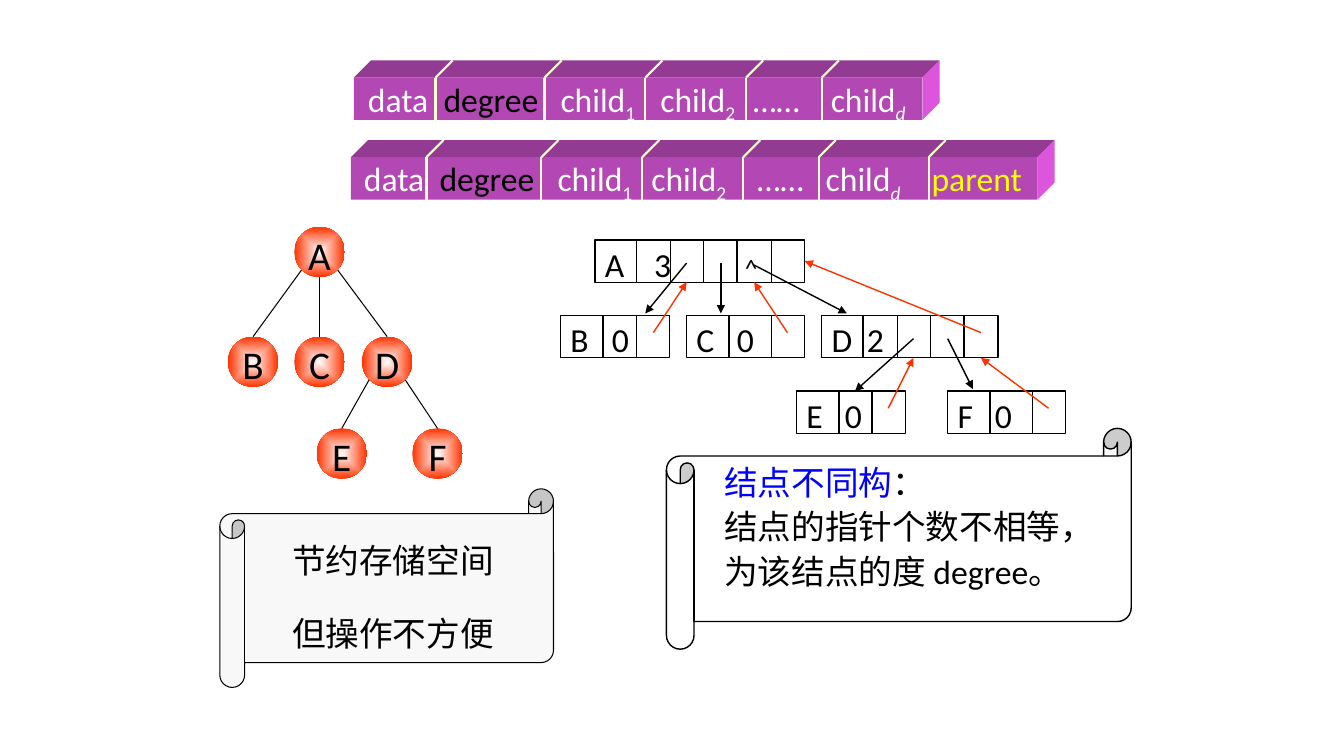
from lxml import etree
from pptx import Presentation
from pptx.dml.color import RGBColor
from pptx.enum.shapes import MSO_CONNECTOR as Link, MSO_SHAPE as Shape
from pptx.enum.text import MSO_ANCHOR as Anchor, PP_ALIGN as Align
from pptx.oxml import parse_xml
from pptx.oxml.ns import qn
from pptx.util import Inches, Pt

NS = 'xmlns:a="http://schemas.openxmlformats.org/drawingml/2006/main"'
BLACK, WHITE, RED, CREAM = "000000", "FFFFFF", "FF3300", "FFFFCC"


def color(code):
    return RGBColor.from_string(code)


def style(run, size=24, code=BLACK):
    run.font.size = Pt(size)
    run.font.name = "Calibri"
    run.font.color.rgb = color(code)


def frame(shape, anchor=Anchor.MIDDLE, left=0.1, top=0.05, wrap=True):
    text = shape.text_frame
    text.word_wrap = wrap
    text.vertical_anchor = anchor
    text.margin_left, text.margin_top = Inches(left), Inches(top)
    text.margin_right = text.margin_bottom = 0
    return text


def tabs(para, stops):
    props = para._p.get_or_add_pPr()
    group = etree.SubElement(props, qn("a:tabLst"))
    for stop in stops:
        etree.SubElement(group, qn("a:tab"), pos=str(Inches(stop)), algn="l")


def paint(shape, fill=None, edge=None, width=1):
    shape.shadow.inherit = False
    if fill:
        shape.fill.solid()
        shape.fill.fore_color.rgb = color(fill)
    else:
        shape.fill.background()
    if edge:
        shape.line.color.rgb = color(edge)
        shape.line.width = Pt(width)
    else:
        shape.line.fill.background()


def box(slide, kind, x, y, w, h):
    return slide.shapes.add_shape(kind, Inches(x), Inches(y), Inches(w), Inches(h))


def line(slide, start, end, code=BLACK, width=1, arrow=False):
    ends = [Inches(v) for v in (*start, *end)]
    link = slide.shapes.add_connector(Link.STRAIGHT, *ends)
    link.line.color.rgb = color(code)
    link.line.width = Pt(width)
    if arrow:
        etree.SubElement(link.line._get_or_add_ln(), qn("a:tailEnd"), type="triangle")
    etree.SubElement(link._element.spPr, qn("a:effectLst"))
    return link


def face(slide, points, code):
    spots = [(Inches(x), Inches(y)) for x, y in points]
    maker = slide.shapes.build_freeform(*spots[0], scale=1.0)
    maker.add_line_segments(spots[1:], close=True)
    paint(maker.convert_to_shape(), code)


def bar(slide, x, y, w, cuts, labels, h=0.42, deep=0.17):
    end, low, high = x + w, y + h, y - deep
    face(slide, [(x, y), (x + deep, high), (end + deep, high), (end, y)], "933A93")
    face(slide, [(end, y), (end + deep, high), (end + deep, low - deep), (end, low)], "DD55DD")
    paint(box(slide, Shape.RECTANGLE, x, y, w, h), "B347B3")
    for cut in cuts:
        line(slide, (cut, low), (cut, y), CREAM, 1.5)
        line(slide, (cut, y), (cut + deep, high), CREAM, 1.5)
    left = labels[0][0]
    area = slide.shapes.add_textbox(Inches(left), Inches(y - 0.07), Inches(w), Inches(0.52))
    para = frame(area, left=0).paragraphs[0]
    para.line_spacing = 1.1
    tabs(para, [spot - left for spot, *_ in labels[1:]])
    for i, (_, word, sub, code) in enumerate(labels):
        run = para.add_run()
        run.text = "\t" * (i > 0) + word
        style(run, code=code)
        if sub:
            run = para.add_run()
            run.text = sub
            style(run, code=code)
            run.font.italic = sub == "d"
            run.font._element.set("baseline", "-25000")


def node(slide, name, x, y, size):
    ball = box(slide, Shape.OVAL, x, y, size, size)
    paint(ball)
    props = ball._element.spPr
    old = props.find(qn("a:noFill"))
    props.replace(old, parse_xml(
        f'<a:gradFill {NS} rotWithShape="1"><a:gsLst>'
        f'<a:gs pos="0"><a:srgbClr val="{WHITE}"/></a:gs>'
        f'<a:gs pos="100000"><a:srgbClr val="{RED}"/></a:gs></a:gsLst>'
        '<a:path path="shape"><a:fillToRect l="50000" t="50000" r="50000" b="50000"/>'
        '</a:path></a:gradFill>'))
    text = frame(ball, left=0, wrap=False)
    text.text = name
    text.paragraphs[0].alignment = Align.CENTER
    style(text.paragraphs[0].runs[0], 28)


def tree(slide, x, y, size=0.5):
    spots = {"A": (0.66, 0), "B": (0, 1.09), "C": (0.66, 1.09),
             "D": (1.33, 1.09), "E": (0.88, 2), "F": (1.83, 2)}
    for name, (dx, dy) in spots.items():
        node(slide, name, x + dx, y + dy, size)
    for top, kid, side in [("A", "B", -1), ("A", "C", 0), ("A", "D", 1),
                           ("D", "E", -1), ("D", "F", 1)]:
        (px, py), (kx, ky) = spots[top], spots[kid]
        mid = x + size / 2
        start = (mid + px + 0.18 * side, y + py + size - 0.07 * abs(side))
        line(slide, start, (mid + kx, y + ky), width=0.75)


def record(slide, words, x, y, w, cuts, stops, h=0.42):
    cell = box(slide, Shape.RECTANGLE, x, y, w, h)
    paint(cell, edge=BLACK)
    para = frame(cell).paragraphs[0]
    para.alignment = Align.LEFT
    tabs(para, stops)
    for i, word in enumerate(words):
        run = para.add_run()
        run.text = "\t" * (i > 0) + word
        style(run, 18 if word == "^" else 24)
    for cut in cuts:
        line(slide, (x + cut, y), (x + cut, y + h))
    return cell


def graph(slide, x, y):
    rows = [y, y + 0.75, y + 1.5]
    three = [0.42, 0.75]
    wide = [0.42, 0.84]
    root = record(slide, "A3^", x + 0.34, rows[0], 2.08,
                  [0.41, 0.75, 1.08, 1.41, 1.75], [0.49, 1.39])
    record(slide, "B0", x, rows[1], 1.08, three, [0.41])
    record(slide, "C0", x + 1.25, rows[1], 1.17, wide, [0.4])
    record(slide, "D2", x + 2.59, rows[1], 1.75, [0.41, 0.75, 1.08, 1.41], [0.35])
    record(slide, "E0", x + 2.34, rows[2], 1.08, three, [0.38])
    record(slide, "F0", x + 3.84, rows[2], 1.17, wide, [0.37])
    downs = [(1.25, 0.23, 0.84, 0.73), (1.59, 0.23, 1.59, 0.73), (1.92, 0.25, 2.84, 0.73),
             (3.5, 0.98, 2.92, 1.5), (3.84, 0.98, 4.09, 1.48)]
    ups = [(0.92, 0.92, 1.25, 0.42), (2.25, 0.92, 1.92, 0.42), (4.17, 0.92, 2.42, 0.21),
           (3.25, 1.67, 3.5, 1.17), (4.84, 1.67, 4.17, 1.17)]
    for code, links in ((BLACK, downs), (RED, ups)):
        for ax, ay, bx, by in links:
            link = line(slide, (x + ax, y + ay), (x + bx, y + by), code, arrow=True)
            if (bx, by) == (2.42, 0.21):
                link.end_connect(root, 3)


def scroll(slide, x, y, w, h, fill, width, lines, gaps, align, **place):
    paper = box(slide, Shape.HORIZONTAL_SCROLL, x, y, w, h)
    paint(paper, fill, BLACK, width)
    text = frame(paper, **place)
    text.text = "\n".join(lines)
    for para, gap in zip(text.paragraphs, gaps):
        para.alignment = align
        para.line_spacing = gap
        style(para.runs[0])
    return text


def main():
    deck = Presentation()
    deck.slide_width, deck.slide_height = Inches(13.33), Inches(7.5)
    slide = deck.slides.add_slide(deck.slide_layouts[6])
    scroll(slide, 2.18, 4.85, 3.31, 1.97, "F8F8F8", 0.75,
           ["节约存储空间", "但操作不方便"], [1.3, 1.8], Align.CENTER, left=0, wrap=False)
    tree(slide, 2.26, 2.25)
    words = [("data", "", WHITE), ("degree", "", BLACK), ("child", "1", WHITE),
             ("child", "2", WHITE), ("……", "", WHITE), ("child", "d", WHITE),
             ("parent", "", "FFFF00")]
    for x, y, w, cuts, spots in [
            (3.51, 0.77, 5.64, [4.32, 5.4, 6.4, 7.4, 8.15],
             [3.65, 4.4, 5.56, 6.55, 7.47, 8.24]),
            (3.48, 1.56, 6.81, [4.23, 5.37, 6.37, 7.37, 8.12, 9.21],
             [3.61, 4.36, 5.53, 6.46, 7.51, 8.19, 9.24])]:
        bar(slide, x, y, w, cuts, [(s, *word) for s, word in zip(spots, words)])
    note = scroll(slide, 6.61, 4.25, 4.61, 2.19, WHITE, 1,
                  ["结点不同构", "结点的指针个数不相等，", "为该结点的度 degree。"],
                  [1.1] * 3, Align.LEFT, anchor=Anchor.TOP, left=0.3, top=0.02)
    head = note.paragraphs[0]
    style(head.runs[0], code="0000FF")
    colon = head.add_run()
    colon.text = "："
    style(colon)
    graph(slide, 5.56, 2.38)
    deck.save("out.pptx")


if __name__ == "__main__":
    main()
